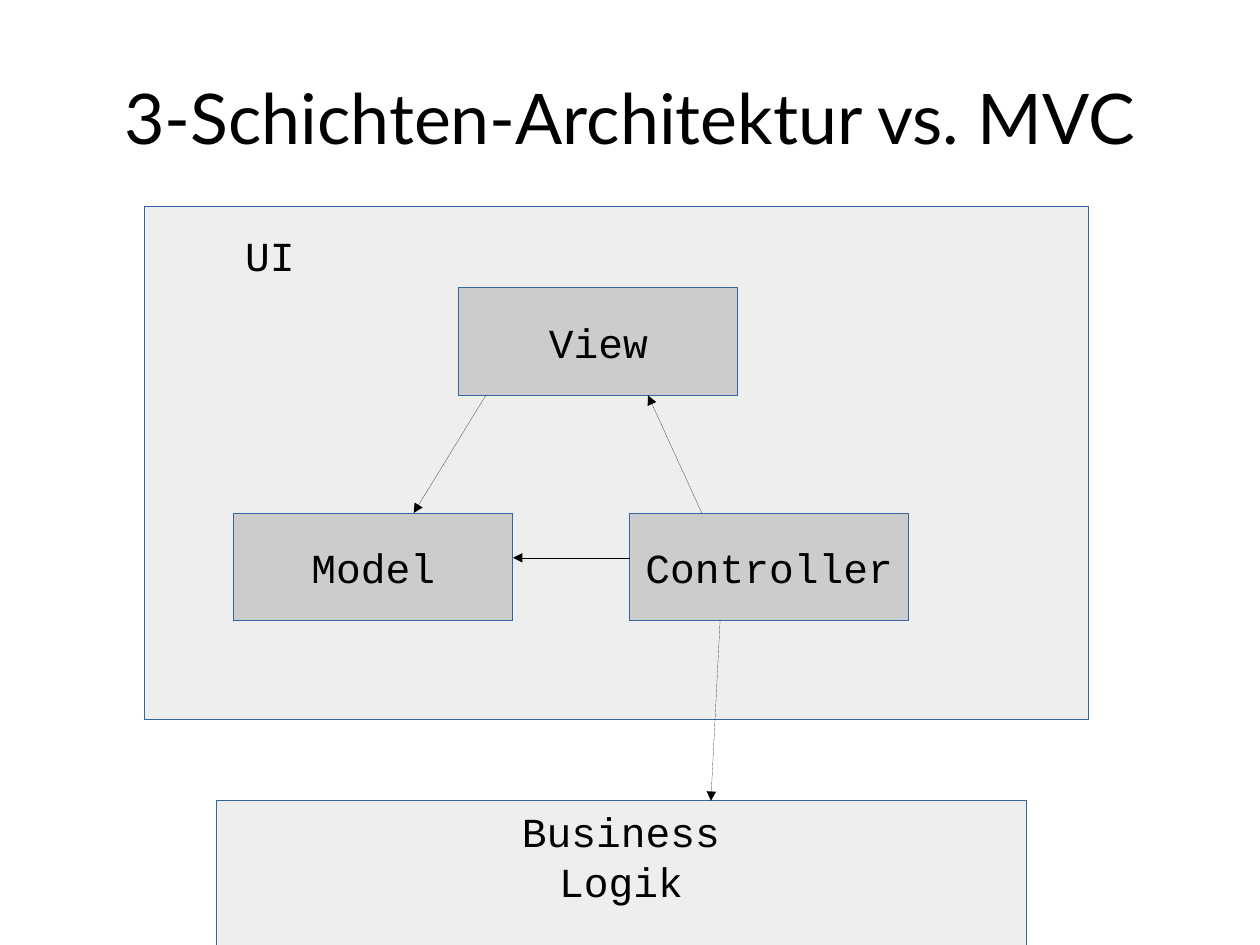
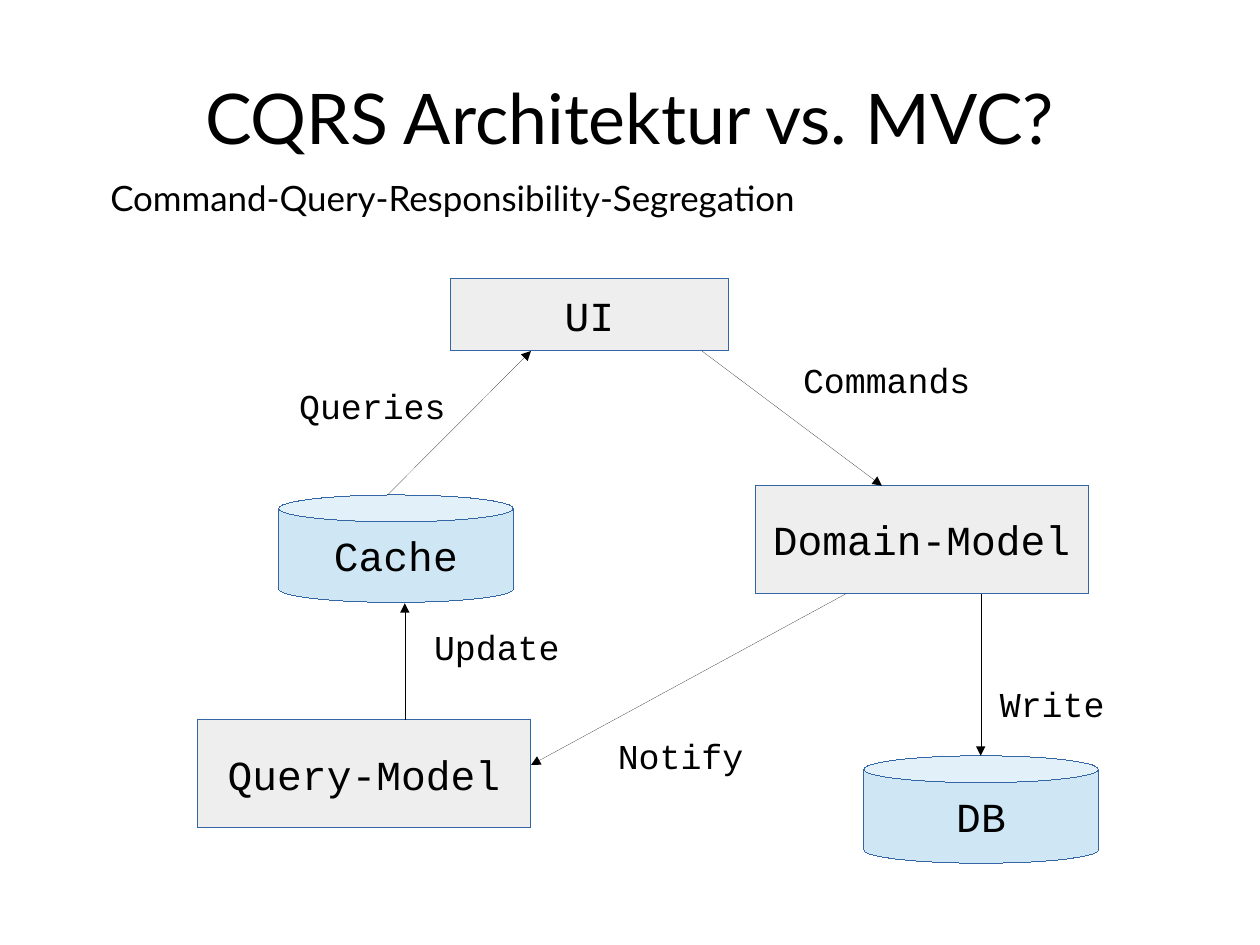
import dataclasses
import lxml.etree
import pptx
import pptx.dml.color
import pptx.enum.shapes
import pptx.enum.text
import pptx.oxml.ns
import pptx.util

Pt = pptx.util.Pt
qn = pptx.oxml.ns.qn
RGB = pptx.dml.color.RGBColor.from_string
ALIGN = pptx.enum.text.PP_ALIGN
ANCHOR = pptx.enum.text.MSO_ANCHOR
SHAPE = pptx.enum.shapes.MSO_SHAPE


# Theme: colours, fonts, sizes
@dataclasses.dataclass(frozen=True)
class Theme:
    ink: str = "000000"
    edge: str = "3465A4"
    pale: str = "EEEEEE"
    grey: str = "CCCCCC"
    blue: str = "CFE7F5"
    sans: str = "Lato"
    mono: str = "Courier New"
    head: int = 44
    body: int = 26
    note: int = 22


THEME = Theme()
WIDE, HIGH = 793.7, 595.28
BOX = (175.7, 67.7)
MODEL = (209.5, 67.7)
CAN = (147.6, 67.7)


def write(frame, text, size=THEME.body, font=THEME.mono, align=ALIGN.CENTER,
          anchor=ANCHOR.MIDDLE, wrap=False, inset=(7.2, 3.6)):
    """Fill a text frame, one paragraph for each line."""
    frame.word_wrap = wrap
    frame.vertical_anchor = anchor
    frame.margin_left = frame.margin_right = Pt(inset[0])
    frame.margin_top = frame.margin_bottom = Pt(inset[1])
    for i, line in enumerate(text.split("\n")):
        para = frame.paragraphs[0] if i == 0 else frame.add_paragraph()
        para.alignment = align
        run = para.add_run()
        run.text = line
        run.font.size = Pt(size)
        run.font.name = font
        run.font.color.rgb = RGB(THEME.ink)


def hair(line, color):
    """Give a line its colour and the thinnest width."""
    line.color.rgb = RGB(color)
    edge = line._get_or_add_ln()
    edge.set("w", "0")
    return edge


class Deck:
    def __init__(self, theme):
        self.theme = theme
        self.file = pptx.Presentation()
        self.file.slide_width = Pt(WIDE)
        self.file.slide_height = Pt(HIGH)
        self.slide = None

    def page(self, title):
        self.slide = self.file.slides.add_slide(self.file.slide_layouts[6])
        self.label(title, (39.7, 23.7), (714.2, 99.2), size=self.theme.head,
                   font=self.theme.sans, align=ALIGN.CENTER,
                   anchor=ANCHOR.MIDDLE, inset=(0, 0))

    def label(self, text, pos, dims=(158.4, 33.1), **style):
        area = self.slide.shapes.add_textbox(*map(Pt, pos + dims))
        base = dict(size=self.theme.note, align=ALIGN.LEFT,
                    anchor=ANCHOR.TOP, wrap=True)
        write(area.text_frame, text, **{**base, **style})

    def box(self, text, pos, dims, fill, kind=SHAPE.RECTANGLE, **style):
        shape = self.slide.shapes.add_shape(kind, *map(Pt, pos + dims))
        shape.shadow.inherit = False
        shape.fill.solid()
        shape.fill.fore_color.rgb = RGB(fill)
        hair(shape.line, self.theme.edge)
        if text:
            write(shape.text_frame, text, **style)

    def can(self, text, pos):
        self.box(text, pos, CAN, self.theme.blue, kind=SHAPE.CAN)

    def arrow(self, start, end):
        line = self.slide.shapes.add_connector(
            pptx.enum.shapes.MSO_CONNECTOR.STRAIGHT, *map(Pt, start + end))
        edge = hair(line.line, self.theme.ink)
        lxml.etree.SubElement(edge, qn("a:tailEnd"), type="triangle")
        lxml.etree.SubElement(line._element.spPr, qn("a:effectLst"))


def layers(deck):
    deck.page("3-Schichten-Architektur vs. MVC")
    # Layers
    deck.box("", (90.7, 130.3), (595.3, 323.2), THEME.pale)
    deck.box("Business\nLogik", (136.1, 504.5), (510.3, 102.1), THEME.pale,
             anchor=ANCHOR.TOP)
    deck.label("UI", (102, 141.7), (136.1, 37.4), size=THEME.body,
               align=ALIGN.CENTER)
    # Parts of the UI
    for text, pos in (("Model", (147.4, 323.2)), ("View", (289.1, 181.4)),
                      ("Controller", (396.8, 323.2))):
        deck.box(text, pos, BOX, THEME.grey)
    # Calls
    for start, end in (((453.6, 391), (447.8, 504.5)),
                       ((396.8, 351.4), (323.1, 351.4)),
                       ((442.1, 323.2), (408.2, 249.1)),
                       ((306, 249.1), (260.6, 323.2))):
        deck.arrow(start, end)


def cqrs(deck):
    deck.page("CQRS Architektur vs. MVC?")
    deck.label("Command-Query-Responsibility-Segregation", (62.4, 107.7),
               (652.3, 37.4), font=THEME.sans)
    # Models and stores
    deck.box("UI", (283.5, 175.7), (175.7, 45.4), THEME.pale)
    deck.box("Domain-Model", (475.9, 306), MODEL, THEME.pale)
    deck.box("Query-Model", (124.6, 453.5), MODEL, THEME.pale)
    deck.can("DB", (544.2, 476.1))
    deck.can("Cache", (175.6, 311.8))
    # Flows: name, place of name, start, end
    for text, pos, start, end in (
            ("Commands", (498.8, 222.2), (442.1, 221.1), (555.6, 306)),
            ("Queries", (181.4, 238.8), (244.1, 311.8), (334.5, 221.1)),
            ("Update", (266.4, 390.7), (255, 453.5), (255, 380)),
            ("Notify", (382.1, 459.1), (532.8, 374.1), (334.5, 481.9)),
            ("Write", (622.8, 426.2), (617.8, 374.1), (617.8, 476.1))):
        deck.arrow(start, end)
        deck.label(text, pos)


def main():
    deck = Deck(THEME)
    layers(deck)
    cqrs(deck)
    deck.file.save("out.pptx")


if __name__ == "__main__":
    main()
